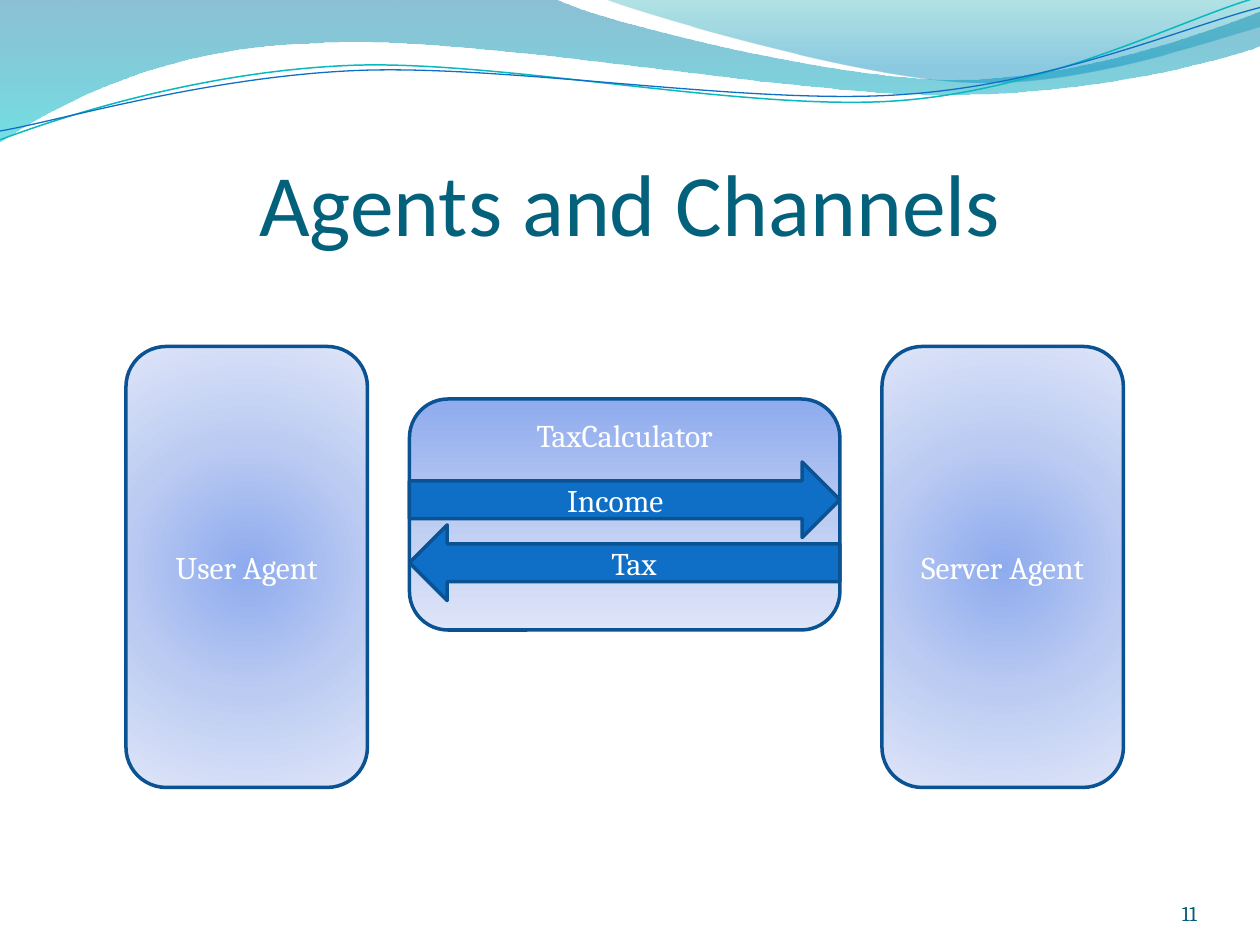
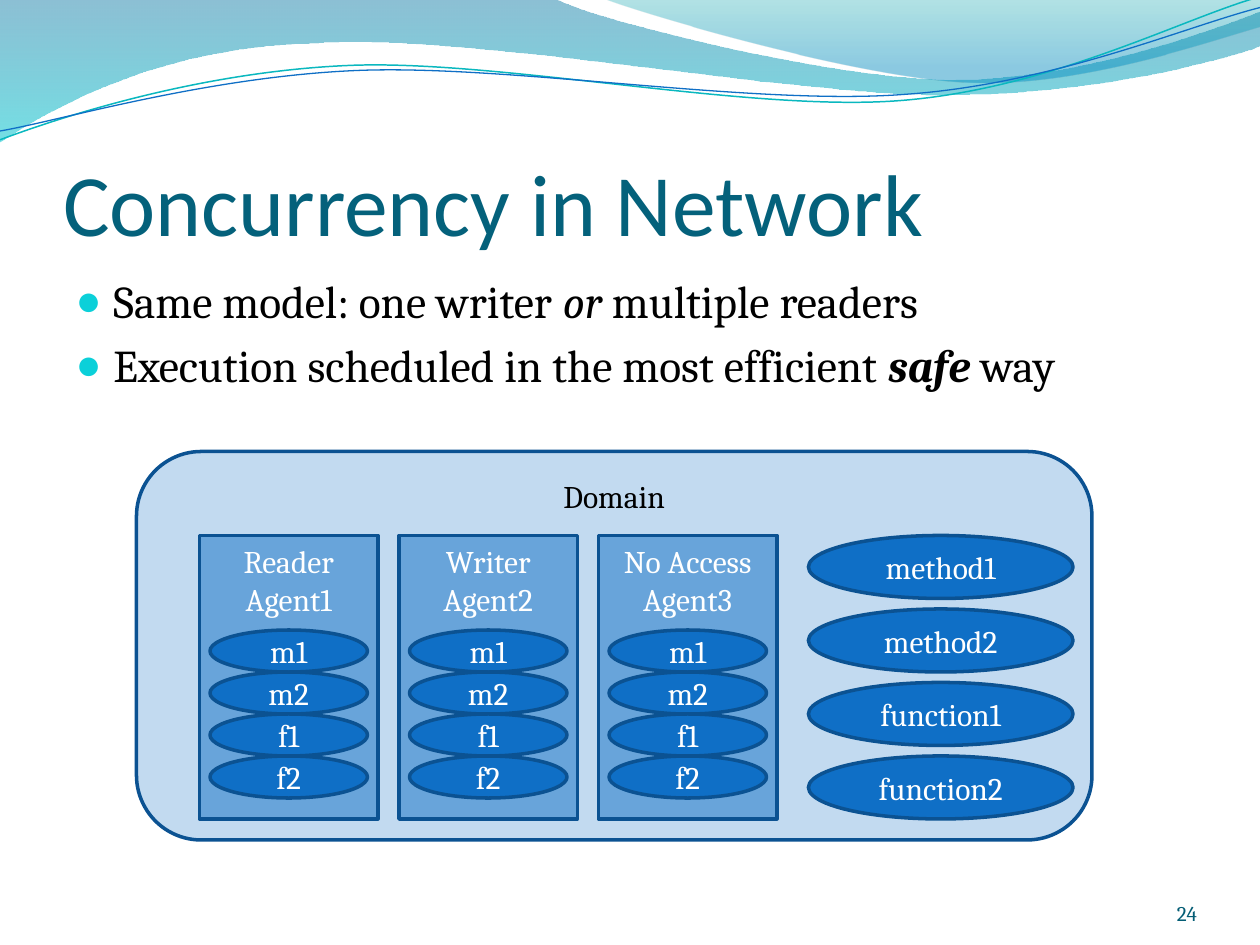
from lxml import etree
from pptx import Presentation
from pptx import util as u
from pptx.dml.color import RGBColor
from pptx.enum import shapes, text
from pptx.oxml.ns import qn

WHITE = RGBColor(0xFF, 0xFF, 0xFF)
BLACK = RGBColor(0, 0, 0)
BLUE = RGBColor(0x0F, 0x6F, 0xC6)
NAVY = RGBColor(0x0B, 0x52, 0x92)
TEAL = RGBColor(0x04, 0x61, 0x7B)
DEEP = RGBColor(0x04, 0x5D, 0x75)
AQUA = RGBColor(0x0A, 0xB8, 0xBF)
BULLET = RGBColor(0x0B, 0xD0, 0xD9)
HAZE = [(0, RGBColor(0x8E, 0xAB, 0xEE), 100),
        (50, RGBColor(0xBB, 0xCB, 0xF2), 100),
        (100, RGBColor(0xDE, 0xE5, 0xF8), 100)]
DUSK = [(0, RGBColor(0x00, 0x74, 0xA1), 45),
        (100, RGBColor(0x00, 0xC6, 0xCF), 55)]
DAWN = [(0, RGBColor(0x00, 0xA1, 0xA9), 30),
        (80, RGBColor(0x00, 0x8B, 0xBF), 45)]

HEAD, BODY = "Calibri", "Cambria"
FORM = shapes.MSO_SHAPE
ALIGN = text.PP_ALIGN
ANCHOR = text.MSO_ANCHOR

BAND = [(0, 0), (4.4, -.01), (4.76, .17, 6.64, .63, 7.58, .63),
        (8.53, .63, 9.58, .26, 10, .09), (10.01, .36),
        (9.83, .44, 8.7, .76, 7.46, .75), (6.22, .75, 3.82, .28, 2.57, .34),
        (1.29, .36, .46, .83, -.01, 1.13)]
CREST = [(4.79, -.01), (5.09, .11, 6.82, .62, 7.69, .65),
         (8.56, .69, 9.61, .32, 10, .21), (10, 0)]
UPPER = [(0, 1.11), (.48, .93, 1.58, .57, 2.77, .52),
         (3.95, .47, 5.93, .89, 7.13, .8), (8.33, .71, 9.38, .15, 9.98, -.02)]
LOWER = [(0, 1.04), (.47, .96, 1.64, .61, 2.83, .56),
         (4.03, .51, 5.97, .84, 7.17, .75), (8.36, .67, 9.41, .21, 10, .06)]


def add(node, tag, **attrs):
    """Append a drawing element with the given attributes."""
    child = etree.SubElement(node, qn("a:" + tag))
    for name, value in attrs.items():
        child.set(name, str(value))
    return child


def tint(node, color, alpha):
    """Append a colour with its opacity in percent."""
    shade = add(node, "srgbClr", val=color)
    if alpha < 100:
        add(shade, "alpha", val=alpha * 1000)


def blend(shape, stops, round=False):
    """Fill a shape with a downward or a circular gradient."""
    shape.fill.gradient()
    grad = shape.element.spPr.find(qn("a:gradFill"))
    grad.clear()
    group = add(grad, "gsLst")
    for place, color, alpha in stops:
        tint(add(group, "gs", pos=place * 1000), color, alpha)
    if round:
        half = dict.fromkeys("ltrb", 50000)
        add(add(grad, "path", path="circle"), "fillToRect", **half)
    else:
        add(grad, "lin", ang=5400000, scaled=0)


def paint(shape, color, alpha=100):
    """Fill a shape with one colour at the given opacity."""
    shape.fill.solid()
    shape.fill.fore_color.rgb = color
    if alpha < 100:
        node = shape.element.spPr.find(qn("a:solidFill"))
        add(node[0], "alpha", val=alpha * 1000)


def style(para, size, color, font=BODY, align=None):
    """Format all runs of a paragraph alike."""
    para.alignment = align
    for run in para.runs:
        run.font.size = u.Pt(size)
        run.font.name = font
        run.font.color.rgb = color


def block(slide, form, box, words, color=WHITE, anchor=ANCHOR.MIDDLE):
    """Add an outlined blue shape with a centred label."""
    shape = slide.shapes.add_shape(form, *map(u.Inches, box))
    shape.shadow.inherit = False
    paint(shape, BLUE)
    shape.line.color.rgb = NAVY
    shape.line.width = u.Pt(2)
    frame = shape.text_frame
    frame.text = words
    frame.word_wrap = True
    frame.vertical_anchor = anchor
    for para in frame.paragraphs:
        style(para, 18, color, align=ALIGN.CENTER)
    return shape


def curve(slide, parts, close):
    """Draw an outline of straight and cubic parts."""
    ends = [tuple(map(u.Inches, part[-2:])) for part in parts]
    pen = slide.shapes.build_freeform(*ends[0])
    pen.add_line_segments(ends[1:], close=close)
    shape = pen.convert_to_shape()
    shape.shadow.inherit = False
    sides = list(shape.element.iter(qn("a:lnTo")))
    for side, part in zip(sides, parts[1:]):
        if len(part) == 6:
            bend = etree.Element(qn("a:cubicBezTo"))
            for x, y in zip(part[::2], part[1::2]):
                add(bend, "pt", x=u.Inches(x) - shape.left, y=u.Inches(y) - shape.top)
            side.getparent().replace(side, bend)
    return shape


def waves(deck, slide):
    """Draw the waves and move them to the master, behind all slides."""
    made = []
    for parts, stops in ((BAND, DUSK), (CREST, DAWN)):
        shape = curve(slide, parts, True)
        blend(shape, stops)
        shape.line.fill.background()
        made.append(shape)
    for parts, color, width in ((UPPER, AQUA, .85), (LOWER, BLUE, .75)):
        shape = curve(slide, parts, False)
        shape.fill.background()
        shape.line.color.rgb = color
        shape.line.width = u.Pt(width)
        made.append(shape)
    tree = deck.slide_master.shapes.element
    for n, shape in enumerate(made):
        shape.element.nvSpPr.cNvPr.set("id", str(20 + n))
        tree.insert(2 + n, shape.element)


def place(shape, box):
    """Move a shape to a box."""
    shape.left, shape.top, shape.width, shape.height = map(u.Inches, box)


def title(slide, words, align):
    """Set the slide title."""
    shape = slide.shapes.title
    place(shape, (.5, .77, 9, 1.25))
    frame = shape.text_frame
    frame.text = words
    frame.auto_size = text.MSO_AUTO_SIZE.NONE
    frame.vertical_anchor = ANCHOR.BOTTOM
    frame.margin_left = frame.margin_right = frame.margin_bottom = 0
    frame.margin_top = u.Inches(.05)
    style(frame.paragraphs[0], 50, TEAL, HEAD, align)


def number(slide, words):
    """Set the slide number at the lower right."""
    shape = slide.shapes.add_textbox(*map(u.Inches, (8.67, 6.95, .83, .4)))
    frame = shape.text_frame
    frame.text = words
    frame.word_wrap = True
    frame.vertical_anchor = ANCHOR.BOTTOM
    frame.margin_left = frame.margin_right = 0
    frame.margin_top = frame.margin_bottom = 0
    style(frame.paragraphs[0], 12, DEEP, align=ALIGN.RIGHT)


def bullets(slide, box, items):
    """Fill the body with bullets whose middle words are stressed."""
    shape = slide.placeholders[1]
    place(shape, box)
    frame = shape.text_frame
    frame.auto_size = text.MSO_AUTO_SIZE.NONE
    for n, (before, key, after, bold) in enumerate(items):
        para = frame.add_paragraph() if n else frame.paragraphs[0]
        for words in (before, key, after):
            para.add_run().text = words
        style(para, 26, BLACK)
        para.runs[1].font.italic = True
        para.runs[1].font.bold = bold
        props = para._p.get_or_add_pPr()
        props.set("marL", str(u.Inches(.3)))
        props.set("indent", str(-u.Inches(.3)))
        tint(add(props, "buClr"), BULLET, 100)
        add(props, "buSzPct", val=95000)
        add(props, "buChar", char="●")


def channel(slide, box):
    """Draw the channel with one arrow each way."""
    x, y, w, h = box
    panel = block(slide, FORM.ROUNDED_RECTANGLE, box, "TaxCalculator", anchor=ANCHOR.TOP)
    blend(panel, HAZE)
    for n, words in enumerate(("Income", "Tax")):
        arrow = block(slide, FORM.RIGHT_ARROW, (x, y + .5 + n * .5, w, .6), words)
        if n:
            arrow.element.spPr.xfrm.set("flipH", "1")


def agents(slide, box):
    """Draw two agents joined by a channel."""
    x, y, w, h = box
    wide = 23 / 12
    for left, words in ((x, "User Agent"), (x + w - wide, "Server Agent")):
        shape = block(slide, FORM.ROUNDED_RECTANGLE, (left, y, wide, h), words)
        blend(shape, HAZE, round=True)
    channel(slide, (x + 2.25, y + 5 / 12, 41 / 12, 11 / 6))


def ovals(slide, box, names, pitch):
    """Stack ovals downward from the given box."""
    x, y, w, h = box
    for n, name in enumerate(names):
        block(slide, FORM.OVAL, (x, y + n * pitch, w, h), name)


def agent(slide, box, words):
    """Draw one agent with its members."""
    x, y, w, h = box
    paint(block(slide, FORM.RECTANGLE, box, words, anchor=ANCHOR.TOP), BLUE, 50)
    ovals(slide, (x + 1 / 12, y + .75, 1.25, 1 / 3), ("m1", "m2", "f1", "f2"), 1 / 3)


def domain(slide, box):
    """Draw the domain with its agents and members."""
    x, y, w, h = box
    panel = block(slide, FORM.ROUNDED_RECTANGLE, box, "Domain", BLACK, ANCHOR.TOP)
    paint(panel, BLUE, 25)
    top, tall = y + 2 / 3, 2.25
    for n, role in enumerate(("Reader", "Writer", "No Access")):
        cell = (x + .5 + n * 19 / 12, top, 17 / 12, tall)
        agent(slide, cell, f"{role}\nAgent{n + 1}")
    names = ("method1", "method2", "function1", "function2")
    ovals(slide, (x + 16 / 3, top, 2.1, .5), names, (tall - .5) / 3)


def main():
    """Build and save the deck."""
    deck = Presentation()
    deck.slide_width, deck.slide_height = u.Inches(10), u.Inches(7.5)

    slide = deck.slides.add_slide(deck.slide_layouts[5])
    waves(deck, slide)
    title(slide, "Agents and Channels", ALIGN.CENTER)
    number(slide, "11")
    agents(slide, (1, 2.75, 95 / 12, 3.5))

    slide = deck.slides.add_slide(deck.slide_layouts[1])
    title(slide, "Concurrency in Network", ALIGN.LEFT)
    bullets(slide, (.5, 2.12, 9, 4.8), [
        ("Same model: one writer ", "or", " multiple readers", None),
        ("Execution scheduled in the most efficient ", "safe", " way", True)])
    number(slide, "24")
    domain(slide, (13 / 12, 43 / 12, 91 / 12, 37 / 12))

    deck.save("out.pptx")


main()
